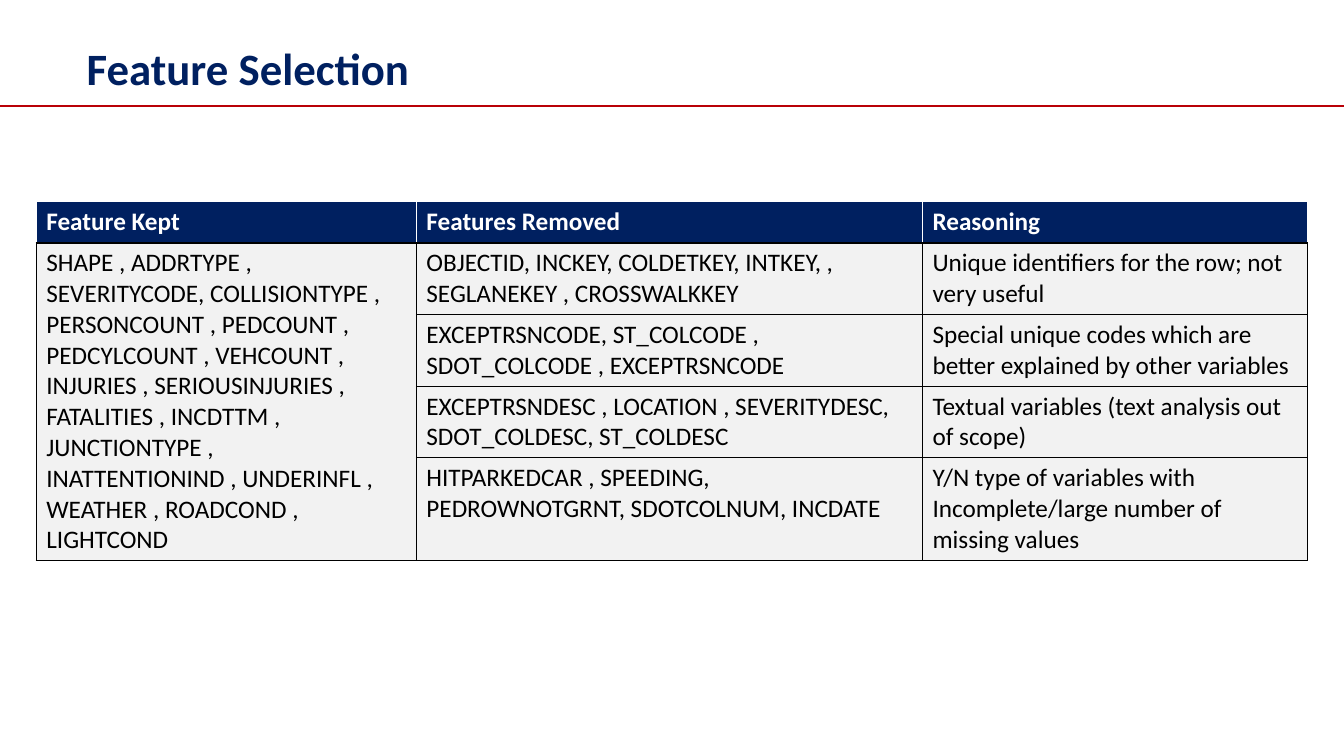
from dataclasses import dataclass

from lxml.etree import SubElement
from pptx import Presentation
from pptx.dml.color import RGBColor
from pptx.enum.shapes import MSO_CONNECTOR
from pptx.enum.text import MSO_ANCHOR, PP_ALIGN
from pptx.oxml import parse_xml
from pptx.oxml.ns import nsdecls, qn
from pptx.util import Inches, Pt


@dataclass(frozen=True)
class Theme:
    """Colours, font and type sizes of the slide."""
    navy: str = "002060"
    red: str = "B90007"
    white: str = "FFFFFF"
    black: str = "000000"
    grey: str = "F2F2F2"
    font: str = "Calibri"
    title_size: int = 32
    table_size: int = 18


THEME = Theme()
HEADERS = ["Feature Kept", "Features Removed", "Reasoning"]
KEPT = (
    "SHAPE , ADDRTYPE , SEVERITYCODE, COLLISIONTYPE , PERSONCOUNT , PEDCOUNT , "
    "PEDCYLCOUNT , VEHCOUNT , INJURIES , SERIOUSINJURIES , FATALITIES , INCDTTM , "
    "JUNCTIONTYPE , INATTENTIONIND , UNDERINFL , WEATHER , ROADCOND , LIGHTCOND"
)
REMOVED = [
    ("OBJECTID, INCKEY, COLDETKEY, INTKEY, , SEGLANEKEY , CROSSWALKKEY",
     "Unique identifiers for the row; not very useful"),
    ("EXCEPTRSNCODE, ST_COLCODE , SDOT_COLCODE , EXCEPTRSNCODE",
     "Special unique codes which are better explained by other variables"),
    ("EXCEPTRSNDESC , LOCATION , SEVERITYDESC, SDOT_COLDESC, ST_COLDESC",
     "Textual variables (text analysis out of scope)"),
    ("HITPARKEDCAR , SPEEDING, PEDROWNOTGRNT, SDOTCOLNUM, INCDATE",
     "Y/N type of variables with Incomplete/large number of missing values"),
]
COLUMN_WIDTHS = [3.77, 5.02, 3.82]
ROW_HEIGHTS = [0.41, 0.7, 0.7, 0.7, 1]


def write_text(frame, text, size, color, bold=False):
    """Write one formatted paragraph into a text frame."""
    para = frame.paragraphs[0]
    para.alignment = PP_ALIGN.LEFT
    span = para.add_run()
    span.text = text
    span.font.name = THEME.font
    span.font.size = Pt(size)
    span.font.bold = bold
    span.font.color.rgb = RGBColor.from_string(color)


def set_borders(cell, side_color, bottom_color):
    """Draw one-point borders around a table cell."""
    properties = cell._tc.get_or_add_tcPr()
    colors = {"lnL": side_color, "lnR": side_color,
              "lnT": side_color, "lnB": bottom_color}
    for index, (side, color) in enumerate(colors.items()):
        properties.insert(index, parse_xml(
            f'<a:{side} {nsdecls("a")} w="{Pt(1)}"><a:solidFill>'
            f'<a:srgbClr val="{color}"/></a:solidFill></a:{side}>'))


def add_title(page, text, left, top, width, height):
    """Place and format the slide title in the given box."""
    box = page.shapes.title
    box.left, box.top = Inches(left), Inches(top)
    box.width, box.height = Inches(width), Inches(height)
    box.text_frame.vertical_anchor = MSO_ANCHOR.MIDDLE
    write_text(box.text_frame, text, THEME.title_size, THEME.navy, bold=True)


def add_rule(page, left, top, width):
    """Draw the red rule below the title."""
    rule = page.shapes.add_connector(
        MSO_CONNECTOR.STRAIGHT, Inches(left), Inches(top),
        Inches(left + width), Inches(top))
    rule.line.color.rgb = RGBColor.from_string(THEME.red)
    rule.line.width = Pt(1.5)
    SubElement(rule._element.spPr, qn("a:effectLst"))


def add_feature_table(page, left, top, width, height):
    """Place the table of kept and removed features in the given box."""
    rows = [HEADERS] + [
        (KEPT if index == 0 else "", *pair) for index, pair in enumerate(REMOVED)]
    table = page.shapes.add_table(
        len(rows), len(HEADERS), Inches(left), Inches(top),
        Inches(width), Inches(height)).table
    for column, share in zip(table.columns, COLUMN_WIDTHS):
        column.width = Inches(width * share / sum(COLUMN_WIDTHS))
    for row, share in zip(table.rows, ROW_HEIGHTS):
        row.height = Inches(height * share / sum(ROW_HEIGHTS))
    for row_index, texts in enumerate(rows):
        header = row_index == 0
        for column_index, text in enumerate(texts):
            cell = table.cell(row_index, column_index)
            cell.fill.solid()
            cell.fill.fore_color.rgb = RGBColor.from_string(
                THEME.navy if header else THEME.grey)
            set_borders(cell, THEME.white if header else THEME.black, THEME.black)
            if text:
                write_text(cell.text_frame, text, THEME.table_size,
                           THEME.white if header else THEME.black, bold=header)
    table.cell(1, 0).merge(table.cell(len(REMOVED), 0))


def main():
    """Build the feature selection slide and save the deck."""
    deck = Presentation()
    deck.slide_width, deck.slide_height = Inches(13.33), Inches(7.5)
    page = deck.slides.add_slide(deck.slide_layouts[5])
    add_rule(page, 0, 1.05, 13.33)
    add_title(page, "Feature Selection", 0.76, 0.35, 9.73, 0.64)
    add_feature_table(page, 0.36, 2, 12.61, 3.51)
    deck.save("out.pptx")


if __name__ == "__main__":
    main()
